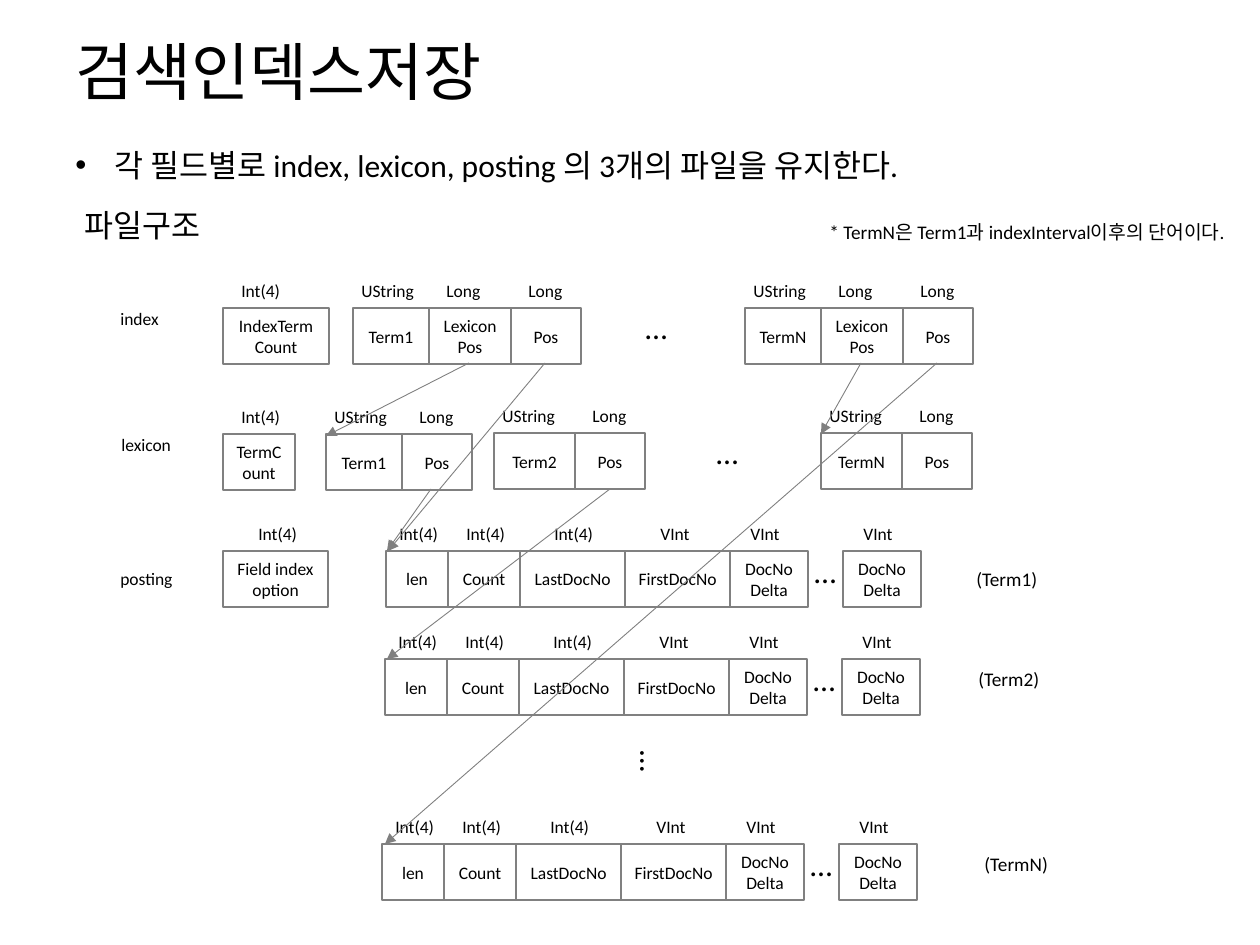
from dataclasses import dataclass

from lxml.etree import SubElement
from pptx import Presentation
from pptx.dml.color import RGBColor
from pptx.enum.shapes import MSO_CONNECTOR as Connector, MSO_SHAPE as Shape
from pptx.enum.text import MSO_ANCHOR as Anchor, MSO_AUTO_SIZE as AutoSize, PP_ALIGN as Align
from pptx.oxml.ns import qn
from pptx.util import Emu, Pt

BLACK = RGBColor(0x00, 0x00, 0x00)
WHITE = RGBColor(0xFF, 0xFF, 0xFF)
GRAY = RGBColor(0x80, 0x80, 0x80)
FONT = "Calibri"
BOX_H = 56
LABEL_H = 34
TYPE_W = {"Int(4)": 64, "UString": 78, "Long": 60, "VInt": 55}


def px(n: int) -> Emu:
    return Emu(round(n * 914400 / 126))


@dataclass(frozen=True)
class Field:
    name: str
    kind: str
    width: int
    label_dx: int
    gap: int = 0  # space left of the box
    filled: bool = False


@dataclass(frozen=True)
class Record:
    x: int
    y: int
    fields: tuple[Field, ...]


@dataclass(frozen=True)
class Note:
    text: str
    x: int
    y: int
    w: int
    h: int = LABEL_H
    size: int = 10
    rotation: int = 0


@dataclass(frozen=True)
class Arrow:
    x1: int
    y1: int
    x2: int
    y2: int


def write(tf, text: str, *, size: int = 10, align=Align.LEFT, anchor=Anchor.TOP,
          wrap: bool = False, fit: bool = True) -> None:
    tf.word_wrap = wrap
    tf.auto_size = AutoSize.SHAPE_TO_FIT_TEXT if fit else AutoSize.NONE
    tf.vertical_anchor = anchor
    for i, line in enumerate(text.split("\n")):
        p = tf.add_paragraph() if i else tf.paragraphs[0]
        p.alignment = align
        r = p.add_run()
        r.text = line
        r.font.name = FONT
        r.font.size = Pt(size)
        r.font.color.rgb = BLACK


def add_note(s, n: Note, **fmt):
    sp = s.shapes.add_textbox(px(n.x), px(n.y), px(n.w), px(n.h))
    sp.rotation = n.rotation
    write(sp.text_frame, n.text, size=n.size, **fmt)
    return sp


def add_record(s, rec: Record) -> None:
    x = rec.x
    for f in rec.fields:
        x += f.gap
        sp = s.shapes.add_shape(Shape.RECTANGLE, px(x), px(rec.y), px(f.width), px(BOX_H))
        sp.shadow.inherit = False
        if f.filled:
            sp.fill.solid()
            sp.fill.fore_color.rgb = WHITE
        else:
            sp.fill.background()
        sp.line.color.rgb = GRAY
        sp.line.width = Pt(0.75)
        write(sp.text_frame, f.name, align=Align.CENTER, anchor=Anchor.MIDDLE,
              wrap=True, fit=False)
        add_note(s, Note(f.kind, x + f.label_dx, rec.y - LABEL_H, TYPE_W[f.kind]))
        x += f.width


def add_arrow(s, a: Arrow) -> None:
    c = s.shapes.add_connector(Connector.STRAIGHT, px(a.x1), px(a.y1), px(a.x2), px(a.y2))
    c.line.color.rgb = GRAY
    c.line.width = Pt(0.5)
    SubElement(c.line._get_or_add_ln(), qn("a:tailEnd"), type="triangle")
    SubElement(c._element.spPr, qn("a:effectLst"))


def add_bullet(p, indent: int) -> None:
    pPr = p._p.get_or_add_pPr()
    pPr.set("marL", str(px(indent)))
    pPr.set("indent", str(-px(indent)))
    SubElement(pPr, qn("a:buFont"), typeface="Arial")
    SubElement(pPr, qn("a:buChar"), char="•")


def ellipsis(x: int, y: int, rotation: int = 0) -> Note:
    return Note("…", x, y, 48, 50, 18, rotation)


def index_entry(term: str) -> tuple[Field, ...]:
    return (Field(term, "UString", 76, -4), Field("Lexicon\nPos", "Long", 82, 5),
            Field("Pos", "Long", 70, 5))


def lexicon_entry(term: str, width: int = 81) -> tuple[Field, ...]:
    return Field(term, "UString", width, -4), Field("Pos", "Long", 70, 5)


# Fields of one posting list
POSTING = (
    Field("len", "Int(4)", 62, 1, filled=True),
    Field("Count", "Int(4)", 72, 6),
    Field("LastDocNo", "Int(4)", 105, 22),
    Field("FirstDocNo", "VInt", 105, 23),
    Field("DocNo\nDelta", "VInt", 78, 8),
    Field("DocNo\nDelta", "VInt", 78, 8, gap=35),
)
POSTING_AT = ((386, 551), (385, 659), (382, 844))

RECORDS = (
    # index file
    Record(223, 308, (Field("IndexTermCount", "Int(4)", 106, 6),)),
    Record(353, 308, index_entry("Term1")),
    Record(745, 308, index_entry("TermN")),
    # lexicon file
    Record(223, 434, (Field("TermCount", "Int(4)", 72, 6),)),
    Record(326, 434, lexicon_entry("Term1", 76)),
    Record(494, 433, lexicon_entry("Term2")),
    Record(821, 433, lexicon_entry("TermN")),
    # posting file
    Record(223, 551, (Field("Field index option", "Int(4)", 105, 23, filled=True),)),
    *(Record(x, y, POSTING) for x, y in POSTING_AT),
)

NOTES = (
    Note("파일구조", 72, 200, 152, 50, 18),
    Note("* TermN은 Term1과 indexInterval이후의 단어이다.", 817, 214, 441, 37, 11),
    # file names
    Note("index", 108, 302, 64),
    Note("lexicon", 109, 428, 76),
    Note("posting", 108, 562, 78),
    # terms of the posting lists
    Note("(Term1)", 964, 561, 89, 37, 11),
    Note("(Term2)", 966, 661, 89, 37, 11),
    Note("(TermN)", 972, 846, 92, 37, 11),
    # omitted entries
    ellipsis(633, 302),
    ellipsis(704, 427),
    ellipsis(629, 737, 90),
    *(ellipsis(x + 416, y - 5) for x, y in POSTING_AT),
)

ARROWS = (
    Arrow(469, 363, 326, 436),
    Arrow(545, 363, 388, 551),
    Arrow(861, 363, 821, 434),
    Arrow(937, 363, 385, 844),
    Arrow(431, 489, 387, 551),
    Arrow(610, 489, 387, 659),
)


def main() -> None:
    prs = Presentation()
    prs.slide_width, prs.slide_height = px(1260), px(945)
    s = prs.slides.add_slide(prs.slide_layouts[6])

    # Heading and lead sentence
    add_note(s, Note("검색인덱스저장", 63, 38, 1134, 64, 36),
             anchor=Anchor.MIDDLE, wrap=True, fit=False)
    lead = add_note(s, Note("각 필드별로 index, lexicon, posting 의 3개의 파일을 유지한다.",
                            63, 140, 890, 50, 18))
    add_bullet(lead.text_frame.paragraphs[0], 39)

    # File structure diagram
    for rec in RECORDS:
        add_record(s, rec)
    for note in NOTES:
        add_note(s, note)
    for arrow in ARROWS:
        add_arrow(s, arrow)

    prs.save("out.pptx")


if __name__ == "__main__":
    main()
